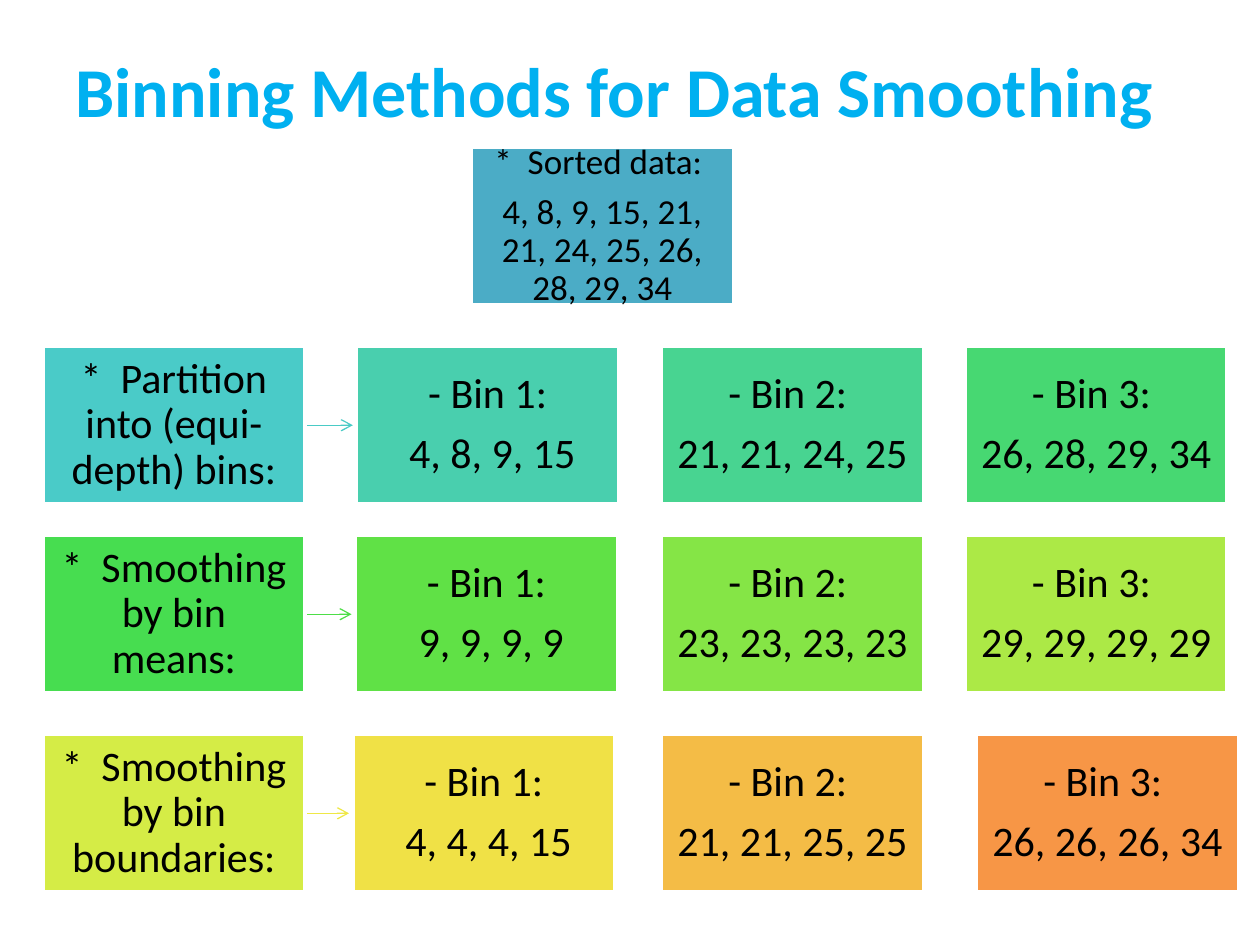
from lxml import etree
from pptx import Presentation
from pptx.dml.color import RGBColor
from pptx.enum.shapes import MSO_CONNECTOR, MSO_SHAPE
from pptx.enum.text import MSO_ANCHOR, PP_ALIGN
from pptx.oxml.ns import qn
from pptx.util import Inches, Pt

RECT, STRAIGHT = MSO_SHAPE.RECTANGLE, MSO_CONNECTOR.STRAIGHT
MIDDLE, CENTER = MSO_ANCHOR.MIDDLE, PP_ALIGN.CENTER
FONT = "Calibri"
BOX_W, BOX_H = 2.08, 1.25
LEFT = 0.34

TITLE = "Binning Methods for Data Smoothing"
SORTED = ["*  Sorted data: ", "4, 8, 9, 15, 21, 21, 24, 25, 26, 28, 29, 34"]
ROWS = [
    {"top": 2.75, "label": "*  Partition into (equi-depth) bins:",
     "fill": "4ACBC8", "arrow": "4ACBC6",
     "bins": [(2.83, "49CFAE", " 4, 8, 9, 15"),
              (5.25, "48D491", "21, 21, 24, 25"),
              (7.66, "47D872", "26, 28, 29, 34")]},
    {"top": 4.25, "label": "*  Smoothing by bin means:",
     "fill": "47DD50", "arrow": "4DDE47",
     "bins": [(2.82, "60E146", " 9, 9, 9, 9"),
              (5.25, "85E546", "23, 23, 23, 23"),
              (7.66, "ACE946", "29, 29, 29, 29")]},
    {"top": 5.83, "label": "*  Smoothing by bin boundaries:",
     "fill": "D5EC46", "arrow": "EFE846",
     "bins": [(2.8, "F0E146", " 4, 4, 4, 15"),
              (5.25, "F4BC46", "21, 21, 25, 25"),
              (7.75, "F79646", "26, 26, 26, 34")]},
]
BIN_NAMES = ["- Bin 1:", "- Bin 2: ", "- Bin 3: "]


def rgb(color):
    return RGBColor.from_string(color)


def style(p, size, color, bold=False):
    p.alignment = CENTER
    for r in p.runs:
        r.font.name, r.font.size, r.font.bold = FONT, Pt(size), bold
        r.font.color.rgb = rgb(color)


def add_box(x, y, fill, lines, size=24):
    sp = s.shapes.add_shape(RECT, Inches(x), Inches(y), Inches(BOX_W), Inches(BOX_H))
    sp.shadow.inherit = False
    sp.fill.solid()
    sp.fill.fore_color.rgb = rgb(fill)
    sp.line.color.rgb = rgb("FFFFFF")
    sp.line.width = Pt(2)
    tf = sp.text_frame
    tf.word_wrap = True
    tf.vertical_anchor = MIDDLE
    tf.margin_left = tf.margin_right = Inches(0.1)
    tf.margin_top = tf.margin_bottom = Inches(0.11)
    tf.text = "\n".join(lines)
    for p in tf.paragraphs:
        p.line_spacing = 0.9
        p.space_after = Pt(size * 0.35)
        style(p, size, "000000")


def add_arrow(x1, x2, y, color):
    c = s.shapes.add_connector(STRAIGHT, Inches(x1), Inches(y), Inches(x2), Inches(y))
    c.line.color.rgb = rgb(color)
    c.line.width = Pt(0.75)
    etree.SubElement(c.line._get_or_add_ln(), qn("a:tailEnd"), type="arrow")
    etree.SubElement(c._element.spPr, qn("a:effectLst"))


prs = Presentation()
prs.slide_width, prs.slide_height = Inches(10), Inches(7.5)
s = prs.slides.add_slide(prs.slide_layouts[5])

title = s.shapes.title
title.left, title.top = Inches(0.25), Inches(0.25)
title.width, title.height = Inches(9.25), Inches(0.92)
title.text_frame.text = TITLE
title.text_frame.vertical_anchor = MIDDLE
style(title.text_frame.paragraphs[0], 40, "00B0F0", True)

add_box(3.74, 1.17, "4BACC6", SORTED, 20)
for row in ROWS:
    top = row["top"]
    add_arrow(LEFT + BOX_W, row["bins"][0][0] - 0.03, top + BOX_H / 2, row["arrow"])
    add_box(LEFT, top, row["fill"], [row["label"]])
    for name, (x, fill, values) in zip(BIN_NAMES, row["bins"]):
        add_box(x, top, fill, [name, values])

prs.save("out.pptx")
